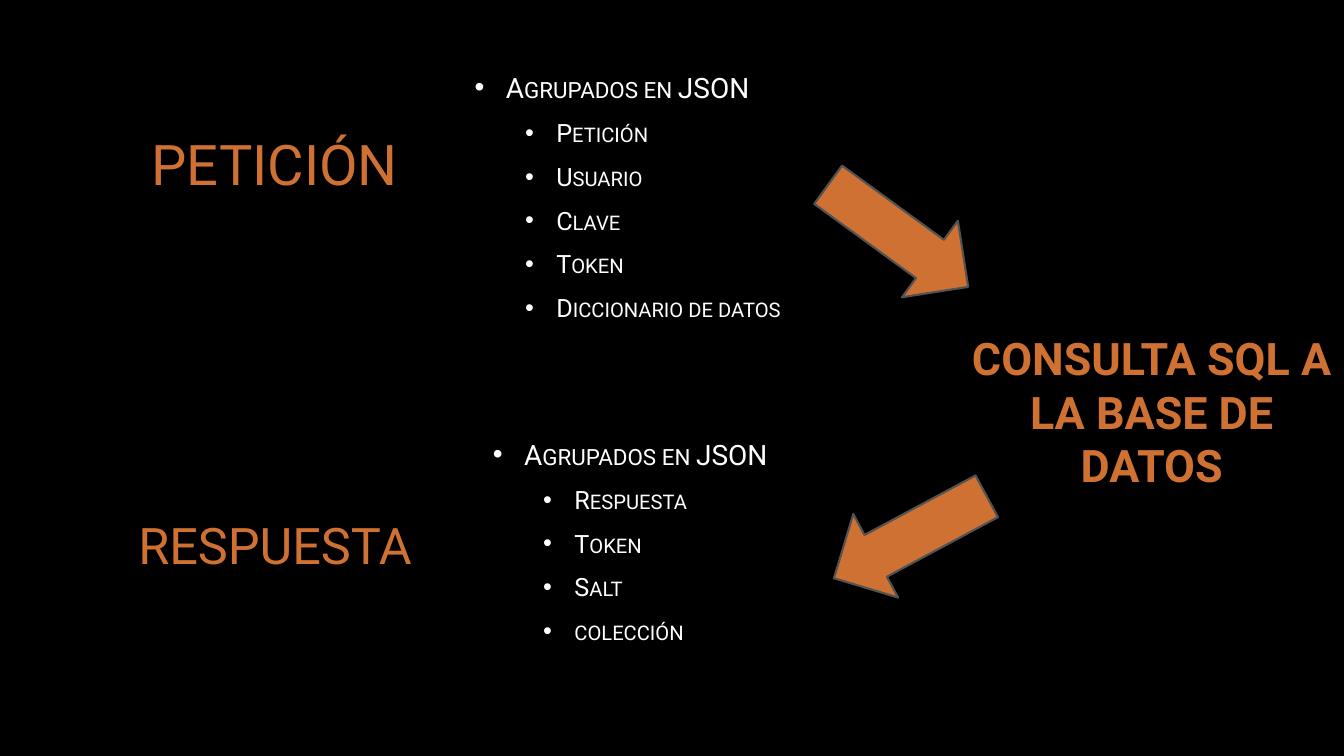
import pptx
import pptx.util
import pptx.dml.color
import pptx.enum.shapes
import pptx.enum.text
import pptx.oxml.ns
import lxml.etree

RGB = pptx.dml.color.RGBColor.from_string
Pt = pptx.util.Pt
ALIGN = pptx.enum.text.PP_ALIGN
ANCHOR = pptx.enum.text.MSO_ANCHOR

THEME = {
    "font": "Roboto",
    "back": RGB("000000"), "text": RGB("FFFFFF"),
    "accent": RGB("CF7133"), "outline": RGB("525252"),
    "request": 40, "response": 36, "query": 32, "levels": (20, 18),
}

prs = pptx.Presentation()
prs.slide_width = pptx.util.Inches(13.33)
prs.slide_height = pptx.util.Inches(7.5)
s = prs.slides.add_slide(prs.slide_layouts[5])
s.background.fill.solid()
s.background.fill.fore_color.rgb = THEME["back"]


def box(left, top, width, height):
    """Turn percentages of the slide's size into lengths."""
    w, h = prs.slide_width, prs.slide_height
    return [int(v * side / 100) for v, side in
            ((left, w), (top, h), (width, w), (height, h))]


def style(p, size, color, bold=False):
    for r in p.runs:
        r.font.name = THEME["font"]
        r.font.size = Pt(size)
        r.font.bold = bold
        r.font.color.rgb = color


# Headings: the response is the slide title
headings = [
    (s.shapes.title, "RESPUESTA", "response", (8.25, 65.47, 24.45, 11.2), ANCHOR.BOTTOM, False),
    (None, "PETICIÓN", "request", (9.53, 16.8, 21.83, 9.87), ANCHOR.BOTTOM, False),
    (None, "CONSULTA SQL A LA BASE DE DATOS", "query", (71.33, 43.07, 28.73, 22.93), ANCHOR.TOP, True),
]
for sp, text, size, place, anchor, bold in headings:
    sp = sp or s.shapes.add_textbox(*box(*place))
    sp.left, sp.top, sp.width, sp.height = box(*place)
    tf = sp.text_frame
    tf.text = text
    tf.word_wrap = True
    tf.auto_size = pptx.enum.text.MSO_AUTO_SIZE.NONE
    tf.vertical_anchor = anchor
    p = tf.paragraphs[0]
    p.alignment = ALIGN.CENTER
    style(p, THEME[size], THEME["accent"], bold)

# Bulleted lists: a first line and its indented items
lists = [
    ((34.58, 7.07, 48.9, 37.87),
     ["Agrupados en JSON", "Petición", "Usuario", "Clave", "Token", "Diccionario de datos"]),
    ((35.93, 55.87, 48.9, 31.47),
     ["Agrupados en JSON", "Respuesta", "Token", "Salt", "colección"]),
]
for place, items in lists:
    tf = s.shapes.add_textbox(*box(*place)).text_frame
    tf.text = "\n".join(items)
    tf.word_wrap = True
    tf.vertical_anchor = ANCHOR.MIDDLE
    for i, p in enumerate(tf.paragraphs):
        p.level = min(i, 1)
        size = THEME["levels"][p.level]
        p.space_before = Pt(0.2 * size)
        p.space_after = Pt(6)
        style(p, size, THEME["text"])
        p.runs[0].font._element.set("cap", "small")
        pPr = p._p.get_or_add_pPr()
        pPr.set("marL", str(pptx.util.Inches(0.31 + 0.5 * p.level)))
        pPr.set("indent", str(pptx.util.Inches(-0.31)))
        font = lxml.etree.SubElement(pPr, pptx.oxml.ns.qn("a:buFont"))
        font.set("typeface", "Arial")
        bullet = lxml.etree.SubElement(pPr, pptx.oxml.ns.qn("a:buChar"))
        bullet.set("char", "•")

# Arrows into and out of the query
for left, top, angle in ((60.38, 24.93, 36.1), (61.28, 64.8, 151.8)):
    sp = s.shapes.add_shape(pptx.enum.shapes.MSO_SHAPE.RIGHT_ARROW,
                            *box(left, top, 12.9, 12.53))
    sp.rotation = angle
    sp.shadow.inherit = False
    sp.fill.solid()
    sp.fill.fore_color.rgb = THEME["accent"]
    sp.line.color.rgb = THEME["outline"]
    sp.line.width = Pt(1.5)

prs.save("out.pptx")
